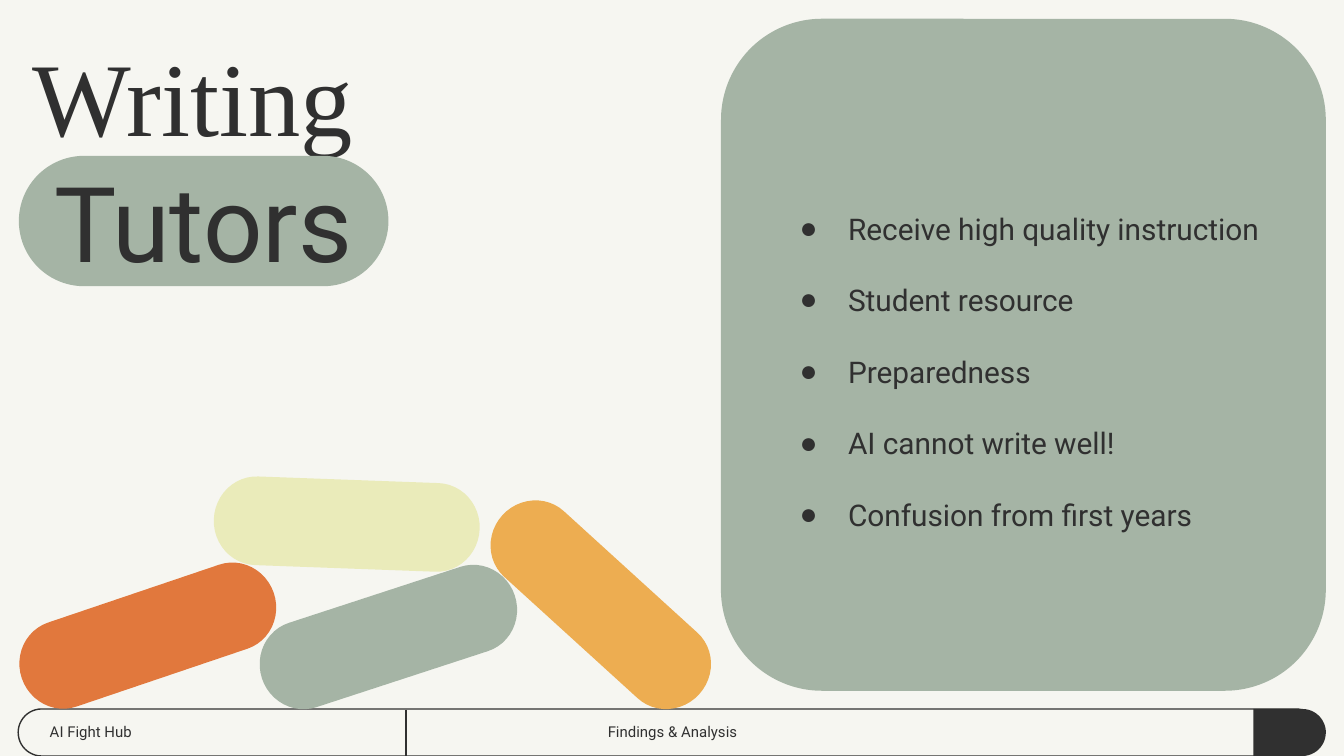
from dataclasses import dataclass

from lxml import etree
from pptx import Presentation
from pptx.dml.color import RGBColor
from pptx.enum.shapes import MSO_CONNECTOR, MSO_SHAPE
from pptx.enum.text import MSO_ANCHOR, MSO_AUTO_SIZE, PP_ALIGN
from pptx.oxml.ns import qn
from pptx.util import Emu, Inches, Pt

TOP, MID = MSO_ANCHOR.TOP, MSO_ANCHOR.MIDDLE
LEFT, CENTER = PP_ALIGN.LEFT, PP_ALIGN.CENTER
ROUND = MSO_SHAPE.ROUNDED_RECTANGLE
CAP = MSO_SHAPE.ROUND_2_SAME_RECTANGLE
PILL = MSO_SHAPE.FLOWCHART_TERMINATOR

# Wide 16:9 slide on a grid of square cells, 100 columns across
WIDTH = Inches(10)
HEIGHT = Emu(WIDTH * 9 // 16)
CELL = WIDTH / 100


@dataclass(frozen=True)
class Theme:
    back: str = "F6F6F1"
    ink: str = "303030"
    sage: str = "A5B4A5"
    rust: str = "E1783D"
    lime: str = "EAEBBA"
    gold: str = "EDAD51"
    sans: str = "Roboto"
    serif: str = "Times New Roman"
    head: int = 56
    body: int = 16
    small: int = 8
    rule: float = 0.75


@dataclass(frozen=True)
class Box:
    x: float
    y: float
    w: float
    h: float

    def place(self, shape) -> None:
        shape.left, shape.top = cells(self.x), cells(self.y)
        shape.width, shape.height = cells(self.w), cells(self.h)


@dataclass(frozen=True)
class Stick:
    x: float
    y: float
    turn: float
    fill: str


THEME = Theme()
STICKS = [
    Stick(1.1, 44, 341.3, THEME.rust),
    Stick(15.9, 35.7, 2.1, THEME.lime),
    Stick(19, 44.1, 341.9, THEME.sage),
    Stick(34.8, 41.7, 42.3, THEME.gold),
]
POINTS = [
    "Receive high quality instruction",
    "Student resource",
    "Preparedness",
    "AI cannot write well!",
    "Confusion from first years",
]


def cells(count: float) -> Emu:
    return Emu(round(count * CELL))


def color(code: str) -> RGBColor:
    return RGBColor.from_string(code)


def add_form(slide, kind, box: Box, fill: str = "", line: str = "",
             turn: float = 0, bends: tuple = ()):
    """Draw a preset shape with an optional fill, outline and turn."""
    form = slide.shapes.add_shape(kind, 0, 0, 0, 0)
    box.place(form)
    form.rotation = turn
    form.shadow.inherit = False
    for i, bend in enumerate(bends):
        form.adjustments[i] = bend
    if fill:
        form.fill.solid()
        form.fill.fore_color.rgb = color(fill)
    else:
        form.fill.background()
    if line:
        form.line.color.rgb = color(line)
        form.line.width = Pt(THEME.rule)
    else:
        form.line.fill.background()
    return form


def add_rule(slide, x: float, top: float, end: float) -> None:
    """Draw an upright line."""
    rule = slide.shapes.add_connector(
        MSO_CONNECTOR.STRAIGHT, cells(x), cells(top), cells(x), cells(end))
    rule.line.color.rgb = color(THEME.ink)
    rule.line.width = Pt(THEME.rule)
    etree.SubElement(rule._element.spPr, qn("a:effectLst"))


def add_dot(para) -> None:
    """Give a paragraph a hanging round bullet."""
    props = para._p.get_or_add_pPr()
    props.set("marL", str(Inches(0.5)))
    props.set("indent", str(-Inches(0.36)))
    tint = etree.SubElement(props, qn("a:buClr"))
    etree.SubElement(tint, qn("a:srgbClr"), val=THEME.ink)
    etree.SubElement(props, qn("a:buChar"), char="●")


def set_text(shape, lines: list[str], size: int, font: str = THEME.sans,
             align=LEFT, anchor=TOP, space: float = 1, dots: bool = False) -> None:
    """Fill a shape with formatted paragraphs."""
    frame = shape.text_frame
    frame.word_wrap = True
    frame.auto_size = MSO_AUTO_SIZE.NONE
    frame.vertical_anchor = anchor
    frame.margin_left = frame.margin_right = Inches(0.1)
    frame.margin_top = frame.margin_bottom = Inches(0.1)
    frame.text = "\n".join(lines)
    for para in frame.paragraphs:
        if dots:
            add_dot(para)
        para.alignment = align
        para.line_spacing = space
        para.space_before = Pt(0)
        para.font.name = font
        para.font.size = Pt(size)
        para.font.bold = False
        para.font.color.rgb = color(THEME.ink)


def use_holder(slide, index: int, box: Box):
    """Move a placeholder to its box and to the front."""
    holder = next(p for p in slide.placeholders
                  if p.placeholder_format.idx == index)
    box.place(holder)
    slide.shapes._spTree.append(holder._element)
    return holder


def main() -> None:
    deck = Presentation()
    deck.slide_width, deck.slide_height = WIDTH, HEIGHT
    slide = deck.slides.add_slide(deck.slide_layouts[4])
    slide.background.fill.solid()
    slide.background.fill.fore_color.rgb = color(THEME.back)

    # Footer bar and side panel
    add_form(slide, CAP, Box(48, 6.1, 3.5, 96.8), line=THEME.ink,
             turn=90, bends=(0.5, 0.5))
    add_form(slide, ROUND, Box(53.65, 1.4, 45, 50), THEME.sage, bends=(0.167,))
    add_rule(slide, 30.2, 52.8, 56.3)
    add_form(slide, CAP, Box(94.2, 51.8, 3.5, 5.4), THEME.ink,
             turn=90, bends=(0.5, 0))

    # List and title
    body = use_holder(slide, 2, Box(57.1, 4, 38.2, 44.6))
    set_text(body, POINTS, THEME.body, anchor=MID, space=2, dots=True)
    title = use_holder(slide, 0, Box(1.4, 1.4, 50.1, 33.5))
    set_text(title, ["Writing"], THEME.head, THEME.serif)

    # Pile of sticks
    for stick in STICKS:
        add_form(slide, PILL, Box(stick.x, stick.y, 19.8, 6.6),
                 stick.fill, turn=stick.turn)

    # Footer captions
    name = use_holder(slide, 1, Box(2.7, 52.8, 24.1, 3.4))
    set_text(name, ["AI Fight Hub"], THEME.small)
    part = use_holder(slide, 3, Box(38.8, 52.8, 22.5, 3.4))
    set_text(part, ["Findings & Analysis"], THEME.small, align=CENTER)

    # Second title line on its pill
    pill = add_form(slide, ROUND, Box(1.4, 11.6, 27.5, 9.7), THEME.sage,
                    bends=(0.5,))
    set_text(pill, ["Tutors"], THEME.head, align=CENTER, anchor=MID)

    # Unused placeholder
    for holder in list(slide.placeholders):
        if not holder.text_frame.text:
            holder._element.getparent().remove(holder._element)

    deck.save("out.pptx")


if __name__ == "__main__":
    main()
